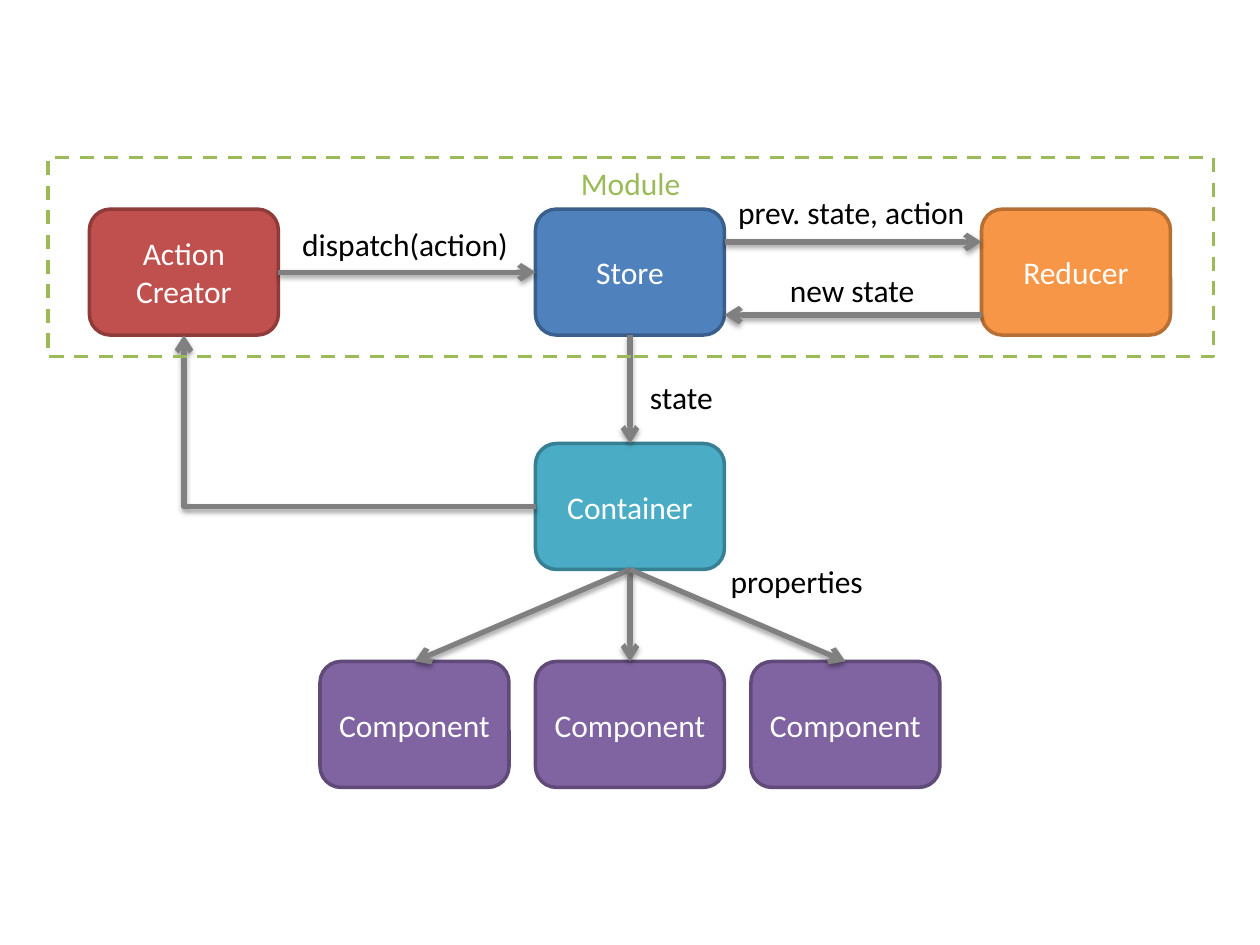
import dataclasses

import lxml.etree
import pptx
import pptx.dml.color
import pptx.enum.dml
import pptx.enum.shapes
import pptx.enum.text
import pptx.oxml
import pptx.oxml.ns
import pptx.util

CENTER = 5
BOX_WIDTH, BOX_HEIGHT = 1.5, 1
OUTER_PITCH, COMPONENT_PITCH = 3.54, 1.71
MODULE_ROW, CONTAINER_ROW, COMPONENT_ROW = 1.66, 3.52, 5.25
LEFT_COLUMN, RIGHT_COLUMN = CENTER - OUTER_PITCH, CENTER + OUTER_PITCH
COMPONENT_COLUMNS = [CENTER + step * COMPONENT_PITCH for step in (-1, 0, 1)]
HALF = BOX_WIDTH / 2

SHADOW = (
    f'<a:effectLst {pptx.oxml.ns.nsdecls("a")}>'
    '<a:outerShdw blurRad="40000" dist="20000" dir="5400000" rotWithShape="0">'
    '<a:srgbClr val="000000"><a:alpha val="38000"/></a:srgbClr>'
    '</a:outerShdw></a:effectLst>'
)


@dataclasses.dataclass
class Box:
    text: str
    center: float
    top: float
    fill: str
    line: str


@dataclasses.dataclass
class Arrow:
    start: tuple[float, float]
    end: tuple[float, float]


@dataclasses.dataclass
class Label:
    text: str
    left: float
    top: float
    width: float


BOXES = [
    Box("Container", CENTER, CONTAINER_ROW, "4BACC6", "377F92"),
    *[Box("Component", column, COMPONENT_ROW, "8064A2", "5F4A78") for column in COMPONENT_COLUMNS],
    Box("Store", CENTER, MODULE_ROW, "4F81BD", "3A5F8C"),
    Box("Action Creator", LEFT_COLUMN, MODULE_ROW, "C0504D", "8E3B39"),
    Box("Reducer", RIGHT_COLUMN, MODULE_ROW, "F79646", "B76F34"),
]

ARROWS = [
    *[Arrow((CENTER, CONTAINER_ROW + BOX_HEIGHT), (column, COMPONENT_ROW)) for column in COMPONENT_COLUMNS],
    Arrow((CENTER, MODULE_ROW + BOX_HEIGHT), (CENTER, CONTAINER_ROW)),
    Arrow((LEFT_COLUMN + HALF, 2.16), (CENTER - HALF, 2.16)),
    Arrow((CENTER + HALF, 1.92), (RIGHT_COLUMN - HALF, 1.92)),
    Arrow((RIGHT_COLUMN - HALF, 2.5), (CENTER + HALF, 2.5)),
]

LABELS = [
    Label("state", 5.06, 2.95, 0.7),
    Label("properties", 5.7, 4.41, 1.27),
    Label("dispatch(action)", 2.3, 1.74, 1.85),
    Label("prev. state, action", 5.76, 1.48, 2.01),
    Label("new state", 6.17, 2.1, 1.2),
]


def color(value: str) -> pptx.dml.color.RGBColor:
    return pptx.dml.color.RGBColor.from_string(value)


def inches(*values: float) -> list[int]:
    return [pptx.util.Inches(value) for value in values]


def write_text(shape, text: str, text_color: str, alignment, frame_format: dict) -> None:
    frame = shape.text_frame
    for name, value in frame_format.items():
        setattr(frame, name, value)
    paragraph = frame.paragraphs[0]
    paragraph.alignment = alignment
    run = paragraph.add_run()
    run.text = text
    for name, value in {"name": "Calibri", "size": pptx.util.Pt(18)}.items():
        setattr(run.font, name, value)
    run.font.color.rgb = color(text_color)


def set_line(line, line_color: str, width: float) -> None:
    line.color.rgb = color(line_color)
    line.width = pptx.util.Pt(width)


def draw_box(slide, box: Box) -> None:
    shape = slide.shapes.add_shape(
        pptx.enum.shapes.MSO_SHAPE.ROUNDED_RECTANGLE,
        *inches(box.center - HALF, box.top, BOX_WIDTH, BOX_HEIGHT),
    )
    shape.shadow.inherit = False
    shape.fill.solid()
    shape.fill.fore_color.rgb = color(box.fill)
    set_line(shape.line, box.line, 2)
    write_text(shape, box.text, "FFFFFF", pptx.enum.text.PP_ALIGN.CENTER, {
        "word_wrap": True,
        "vertical_anchor": pptx.enum.text.MSO_ANCHOR.MIDDLE,
    })


def draw_arrow(slide, arrow: Arrow, kind=pptx.enum.shapes.MSO_CONNECTOR.STRAIGHT):
    connector = slide.shapes.add_connector(kind, *inches(*arrow.start, *arrow.end))
    set_line(connector.line, "808080", 3)
    properties = connector._element.spPr
    lxml.etree.SubElement(properties.ln, pptx.oxml.ns.qn("a:tailEnd"), type="arrow")
    properties.append(pptx.oxml.parse_xml(SHADOW))
    return properties


def draw_return_arrow(slide) -> None:
    corners = Arrow(
        (LEFT_COLUMN, MODULE_ROW + BOX_HEIGHT),
        (CENTER - HALF, CONTAINER_ROW + BOX_HEIGHT / 2),
    )
    properties = draw_arrow(slide, corners, pptx.enum.shapes.MSO_CONNECTOR.ELBOW)
    properties.find(pptx.oxml.ns.qn("a:xfrm")).set("rot", "10800000")
    properties.find(pptx.oxml.ns.qn("a:prstGeom")).set("prst", "bentConnector2")


def draw_label(slide, label: Label) -> None:
    shape = slide.shapes.add_textbox(*inches(label.left, label.top, label.width, 0.4))
    write_text(shape, label.text, "000000", pptx.enum.text.PP_ALIGN.LEFT, {
        "word_wrap": False,
        "auto_size": pptx.enum.text.MSO_AUTO_SIZE.SHAPE_TO_FIT_TEXT,
    })


def draw_module(slide) -> None:
    shape = slide.shapes.add_shape(
        pptx.enum.shapes.MSO_SHAPE.RECTANGLE, *inches(0.38, 1.25, 9.25, 1.58)
    )
    shape.shadow.inherit = False
    shape.fill.background()
    set_line(shape.line, "9BBB59", 2)
    shape.line.dash_style = pptx.enum.dml.MSO_LINE.DASH
    write_text(shape, "Module", "9BBB59", pptx.enum.text.PP_ALIGN.CENTER, {
        "word_wrap": True,
        "vertical_anchor": pptx.enum.text.MSO_ANCHOR.TOP,
    })


presentation = pptx.Presentation()
presentation.slide_width, presentation.slide_height = inches(10, 7.5)
slide = presentation.slides.add_slide(presentation.slide_layouts[6])
for box in BOXES:
    draw_box(slide, box)
for arrow in ARROWS:
    draw_arrow(slide, arrow)
draw_return_arrow(slide)
for label in LABELS:
    draw_label(slide, label)
draw_module(slide)
presentation.save("out.pptx")
